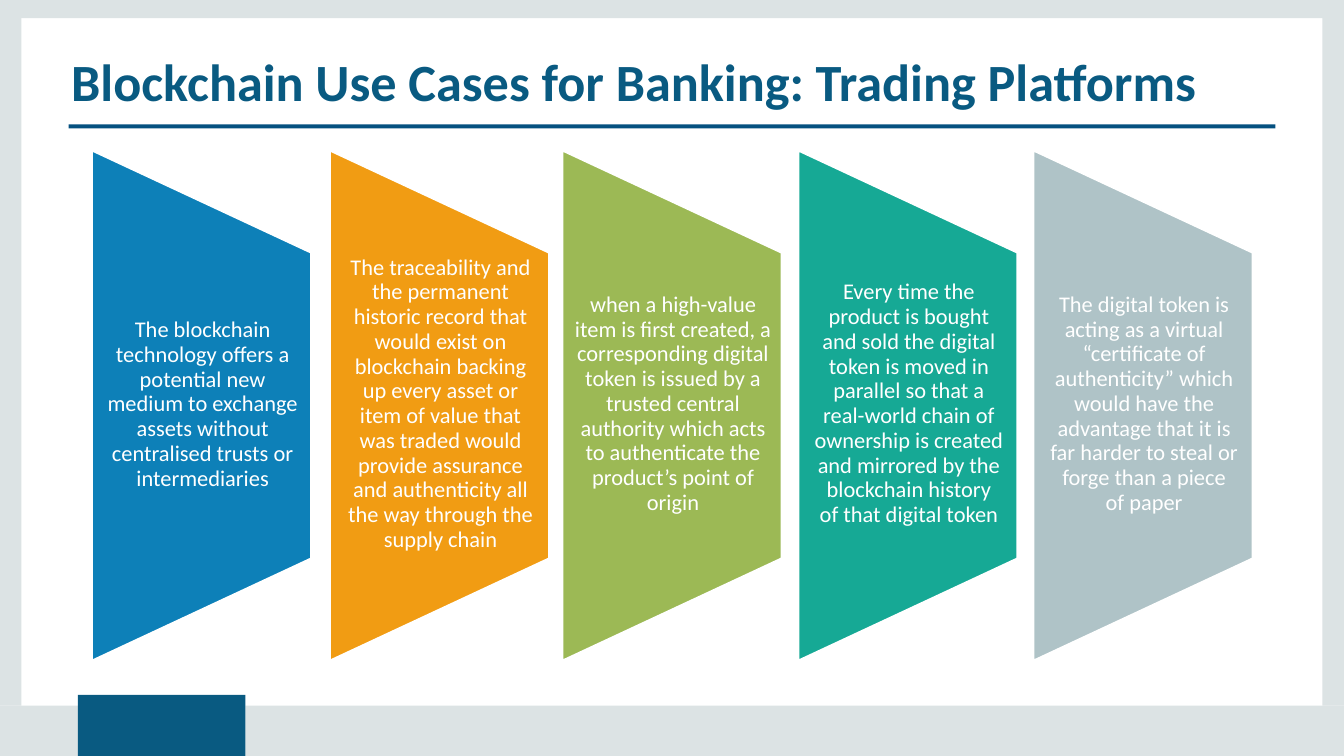
from pptx import Presentation
from pptx.dml.color import RGBColor
from pptx.enum.shapes import MSO_SHAPE
from pptx.enum.text import PP_ALIGN
from pptx.util import Inches, Pt

RECT = MSO_SHAPE.RECTANGLE
LEFT, CENTER = PP_ALIGN.LEFT, PP_ALIGN.CENTER

THEME = {
    "font": "Calibri",
    "frame": RGBColor.from_string("DCE3E4"),
    "navy": RGBColor.from_string("095A81"),
    "rule": RGBColor.from_string("055180"),
    "white": RGBColor.from_string("FFFFFF"),
    "panels": [RGBColor.from_string(c) for c in
               ("0D80B8", "F19C13", "9CB955", "16A995", "AFC3C7")],
    "title_size": Pt(56),
    "body_size": Pt(24),
}

prs = Presentation()
prs.slide_width, prs.slide_height = Inches(20), Inches(11.25)
s = prs.slides.add_slide(prs.slide_layouts[6])


def add_bar(x, y, w, h, color):
    sp = s.shapes.add_shape(RECT, Inches(x), Inches(y), Inches(w), Inches(h))
    sp.shadow.inherit = False
    sp.fill.solid()
    sp.fill.fore_color.rgb = color
    sp.line.fill.background()


def add_text(x, y, w, h, text, size, color, align, top_inset):
    tf = s.shapes.add_textbox(Inches(x), Inches(y), Inches(w), Inches(h)).text_frame
    tf.word_wrap = True
    tf.margin_left, tf.margin_top = Inches(0.03), Inches(top_inset)
    tf.margin_right = tf.margin_bottom = 0
    p = tf.paragraphs[0]
    p.text = text
    p.alignment = align
    p.font.name, p.font.size = THEME["font"], size
    p.font.color.rgb = color
    return p


# Frame around the page, with the footer tab
for x, y, w, h in [(19.68, 0.27, 0.32, 10.23), (0, 0.27, 0.32, 10.23),
                   (3.65, 10.5, 16.35, 0.75), (0, 10.5, 1.16, 0.75),
                   (0, 0, 20, 0.27)]:
    add_bar(x, y, w, h, THEME["frame"])
add_bar(1.16, 10.34, 2.49, 0.91, THEME["navy"])

# Title and rule
add_bar(1.02, 1.85, 17.96, 0.06, THEME["rule"])
p = add_text(1.03, 0.71, 16.94, 0.97,
             "Blockchain Use Cases for Banking: Trading Platforms",
             THEME["title_size"], THEME["navy"], LEFT, 0.03)
p.font.bold = True

# Panels: left edge, text width, text height, text
PANEL_W, PANEL_TOP, PANEL_BOTTOM, SLOPE = 3.26, 2.24, 9.83, 1.52
TEXT_MIDDLE = 6
panels = [
    (1.37, 2.89, 2.66,
     "The blockchain technology offers a potential new medium to exchange "
     "assets without centralised trusts or intermediaries"),
    (4.91, 2.81, 4.52,
     "The traceability and the permanent historic record that would exist on "
     "blockchain backing up every asset or item of value that was traded would "
     "provide assurance and authenticity all the way through the supply chain"),
    (8.37, 2.98, 3.41,
     "when a high-value item is first created, a corresponding digital token "
     "is issued by a trusted central authority which acts to authenticate the "
     "product’s point of origin"),
    (11.88, 2.86, 3.78,
     "Every time the product is bought and sold the digital token is moved in "
     "parallel so that a real-world chain of ownership is created and mirrored "
     "by the blockchain history\vof that digital token"),
    (15.38, 2.84, 3.41,
     "The digital token is acting as a virtual “certificate of authenticity” "
     "which would have the advantage that it is far harder to steal or forge "
     "than a piece\vof paper"),
]
for (x, text_w, text_h, text), color in zip(panels, THEME["panels"]):
    right = x + PANEL_W
    fb = s.shapes.build_freeform(Inches(x), Inches(PANEL_TOP))
    fb.add_line_segments([(Inches(px), Inches(py)) for px, py in
                          [(x, PANEL_BOTTOM), (right, PANEL_BOTTOM - SLOPE),
                           (right, PANEL_TOP + SLOPE)]], close=True)
    sp = fb.convert_to_shape()
    sp.shadow.inherit = False
    sp.fill.solid()
    sp.fill.fore_color.rgb = color
    sp.line.color.rgb = THEME["white"]
    sp.line.width = Pt(2.04)

    p = add_text(x + (PANEL_W - text_w) / 2, TEXT_MIDDLE - text_h / 2,
                 text_w, text_h, text,
                 THEME["body_size"], THEME["white"], CENTER, 0.06)
    p.line_spacing = 0.92

prs.save("out.pptx")
